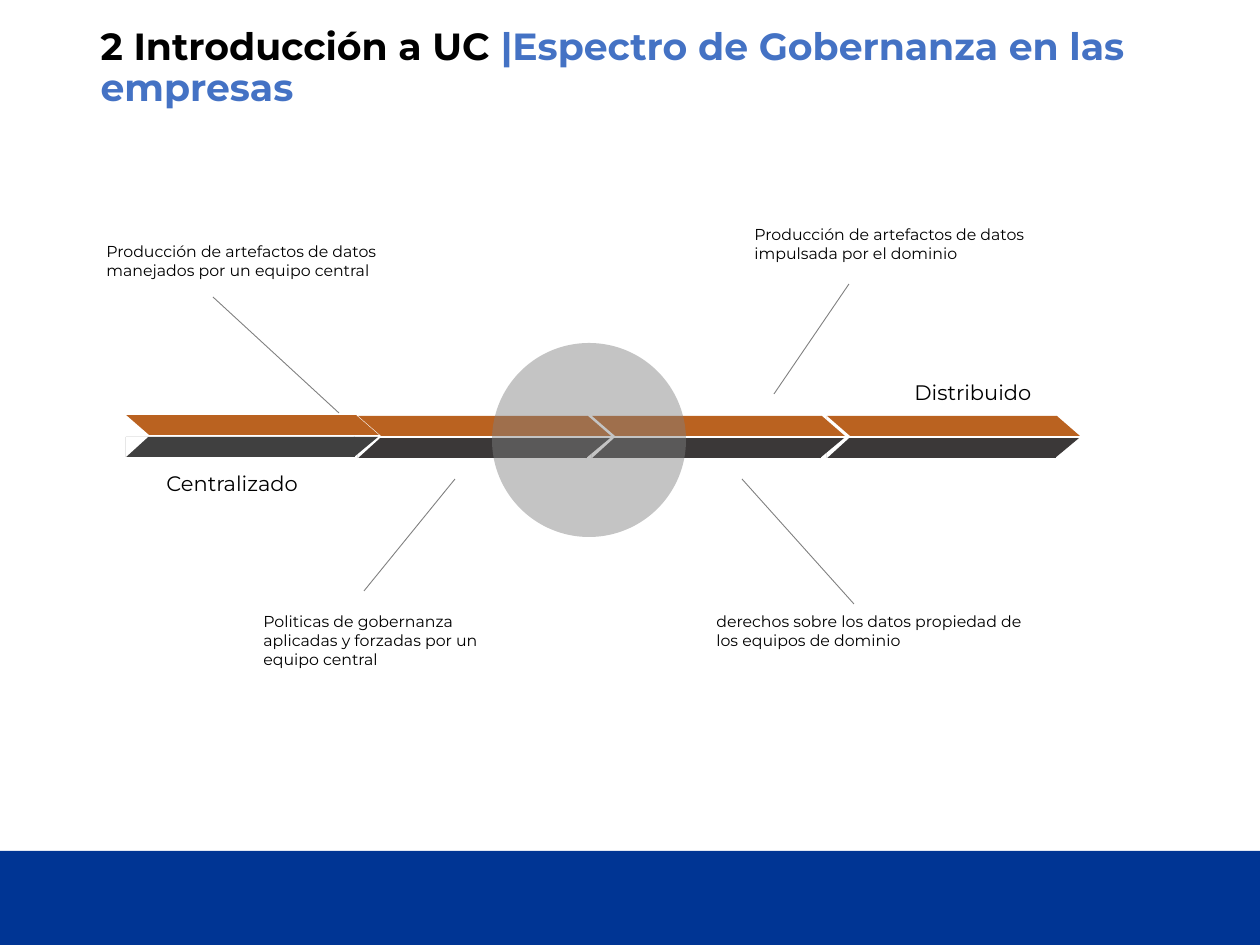
from lxml import etree
from pptx import Presentation
from pptx import util as u
from pptx.dml.color import RGBColor
from pptx.enum import shapes, text
from pptx.oxml.ns import qn

SCALE = 914400 / 126  # EMU in one px

BLACK = RGBColor(0x00, 0x00, 0x00)
WHITE = RGBColor(0xFF, 0xFF, 0xFF)
GRAY = RGBColor(0x80, 0x80, 0x80)
CHARCOAL = RGBColor(0x3B, 0x38, 0x38)
DARK_GRAY = RGBColor(0x40, 0x40, 0x40)
ORANGE = RGBColor(0xBA, 0x62, 0x20)
NAVY = RGBColor(0x00, 0x35, 0x94)
BLUE = RGBColor(0x44, 0x72, 0xC4)

RECT = shapes.MSO_SHAPE.RECTANGLE
TRIANGLE = shapes.MSO_SHAPE.RIGHT_TRIANGLE
OVAL = shapes.MSO_SHAPE.OVAL


def px(*lengths):
    return [u.Emu(round(length * SCALE)) for length in lengths]


def apply(target, values):
    for name, value in values.items():
        setattr(target, name, value)


class SlideBuilder:
    font_name = "Montserrat"
    frame_format = {"word_wrap": True, "auto_size": text.MSO_AUTO_SIZE.SHAPE_TO_FIT_TEXT}
    title_format = {"word_wrap": True, "auto_size": text.MSO_AUTO_SIZE.NONE,
                    "vertical_anchor": text.MSO_ANCHOR.MIDDLE}

    def __init__(self, page):
        self.page = page

    def span(self, para, words, size, color, bold=False):
        span = para.add_run()
        span.text = words
        apply(span.font, {"name": self.font_name, "size": u.Pt(size), "bold": bold})
        span.font.color.rgb = color

    def title(self, place, parts, size):
        box = self.page.shapes.title
        apply(box, dict(zip(("left", "top", "width", "height"), px(*place))))
        apply(box.text_frame, self.title_format)
        para = box.text_frame.paragraphs[0]
        apply(para, {"alignment": text.PP_ALIGN.LEFT, "line_spacing": 0.9})
        for words, color in parts:
            self.span(para, words, size, color, bold=True)

    def label(self, place, words, size):
        box = self.page.shapes.add_textbox(*px(*place))
        apply(box.text_frame, self.frame_format)
        self.span(box.text_frame.paragraphs[0], words, size, BLACK)

    def shape(self, kind, place, color, rotation=0, opacity=None, group=None):
        shape = (group or self.page).shapes.add_shape(kind, *px(*place))
        shape.shadow.inherit = False
        shape.rotation = rotation
        shape.fill.solid()
        shape.fill.fore_color.rgb = color
        shape.line.fill.background()
        if opacity is not None:
            tint = shape.fill._xPr.find(".//" + qn("a:srgbClr"))
            etree.SubElement(tint, qn("a:alpha")).set("val", str(opacity * 1000))

    def line(self, start, end):
        line = self.page.shapes.add_connector(
            shapes.MSO_CONNECTOR.STRAIGHT, *px(*start, *end))
        line.line.color.rgb = GRAY
        line.line.width = u.Pt(0.5)
        etree.SubElement(line._element.spPr, qn("a:effectLst"))

    def segment(self, left, top, lower_color):
        """A notched arrow with an orange upper and a dark lower half."""
        group = self.page.shapes.add_group_shape()
        for kind, dx, dy, width, height, color, rotation in (
            (RECT, 0, 22, 229, 20, lower_color, 0),
            (TRIANGLE, 1, 21, 20, 22, WHITE, 90),
            (TRIANGLE, 230, 20, 20, 24, lower_color, 90),
            (TRIANGLE, 230, 0, 23, 20, ORANGE, 0),
            (RECT, 0, 0, 230, 20, ORANGE, 0),
            (TRIANGLE, 0, 0, 23, 20, WHITE, 0),
        ):
            self.shape(kind, (left + dx, top + dy, width, height), color,
                       rotation, group=group)


def main():
    deck = Presentation()
    deck.slide_width, deck.slide_height = px(1260, 945)
    builder = SlideBuilder(deck.slides.add_slide(deck.slide_layouts[5]))

    # Footer band and title
    builder.shape(RECT, (0, 851, 1260, 94), NAVY)
    builder.title((88, 32, 1086, 74), (
        ("2 Introducción a UC ", BLACK),
        ("|Espectro de Gobernanza en las empresas", BLUE),
    ), 21.6)

    # Spectrum arrow, right to left so that each tip overlaps the next notch
    for left, top, lower_color in (
        (827, 416, CHARCOAL),
        (592, 416, CHARCOAL),
        (358, 416, CHARCOAL),
        (126, 415, DARK_GRAY),
    ):
        builder.segment(left, top, lower_color)

    # Ends of the spectrum
    builder.label((154, 464, 165, 38), "Centralizado", 12)
    builder.label((902, 373, 165, 38), "Distribuido", 12)

    # Notes with their leader lines
    for place, words, start, end in (
        ((94, 236, 341, 52),
         "Producción de artefactos de datos manejados por un equipo central",
         (213, 297), (339, 413)),
        ((251, 606, 241, 71),
         "Politicas de gobernanza aplicadas y forzadas por un equipo central",
         (364, 591), (455, 479)),
        ((742, 219, 341, 52),
         "Producción de artefactos de datos impulsada por el dominio",
         (849, 284), (774, 394)),
        ((704, 606, 341, 52),
         "derechos sobre los datos propiedad de los equipos de dominio",
         (854, 604), (742, 479)),
    ):
        builder.label(place, words, 9)
        builder.line(start, end)

    # Middle ground
    builder.shape(OVAL, (492, 343, 194, 194), GRAY, opacity=46)

    deck.save("out.pptx")


if __name__ == "__main__":
    main()
